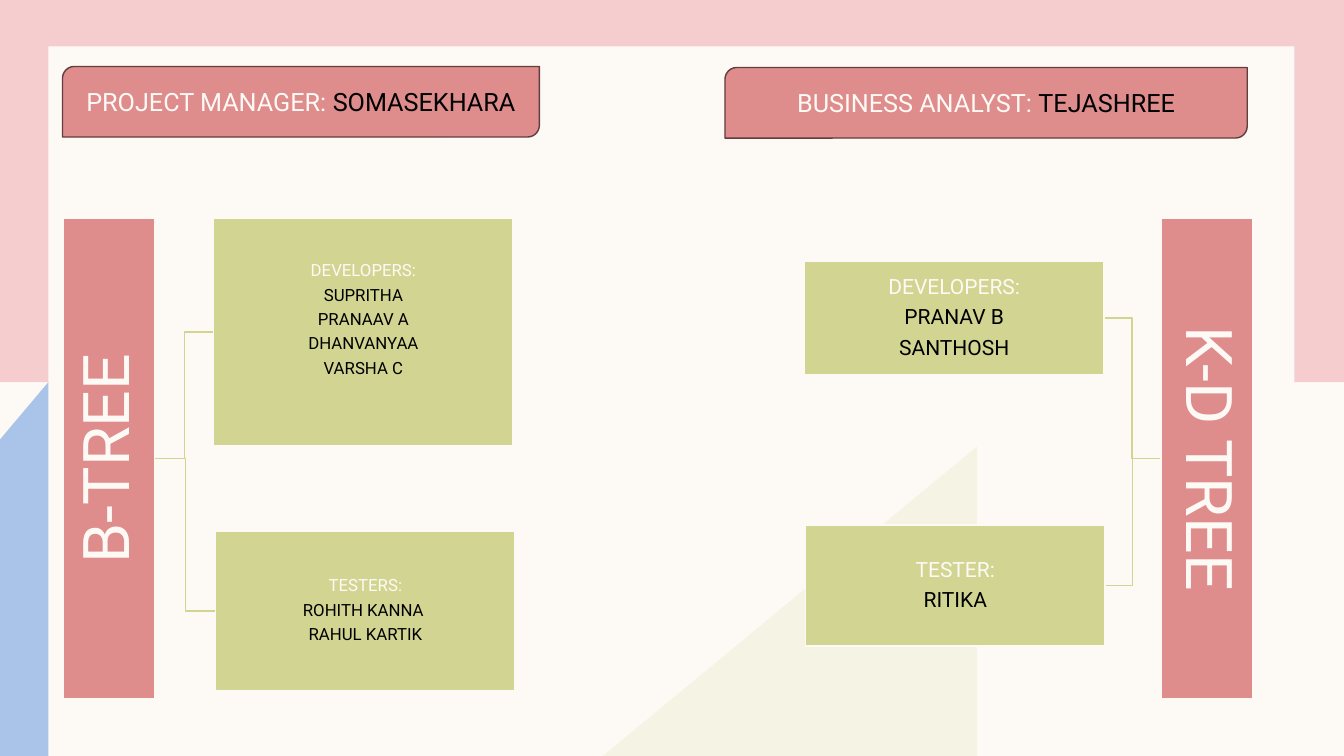
from dataclasses import dataclass

from lxml import etree
from pptx import Presentation
from pptx.dml.color import RGBColor
from pptx.enum.shapes import MSO_CONNECTOR, MSO_SHAPE
from pptx.enum.text import MSO_ANCHOR, PP_ALIGN
from pptx.oxml.ns import qn
from pptx.shapes.autoshape import Shape
from pptx.slide import Slide
from pptx.util import Inches, Pt

RECT = MSO_SHAPE.RECTANGLE
TITLE_SHAPE = MSO_SHAPE.ROUND_2_DIAG_RECTANGLE
ELBOW = MSO_CONNECTOR.ELBOW
CENTER, MIDDLE = PP_ALIGN.CENTER, MSO_ANCHOR.MIDDLE

FONT = "Roboto"
CREAM, BLACK = "FDFAF6", "000000"
PINK, ROSE, MAROON = "F5CDCE", "DE8C8C", "613D3D"
OLIVE, PALE_OLIVE, BLUE = "D2D592", "EDEED3", "AAC3E8"

BAR_LENGTH, BAR_THICKNESS, BAR_MIDDLE = 4.77, 0.91, 4.55
CARD_WIDTH = 2.97


@dataclass
class Lead:
    role: str
    person: str
    left: float
    top: float
    width: float


@dataclass
class Card:
    role: str
    people: list[str]
    left: float
    top: float
    height: float
    bottom_inset: float = 0.01


@dataclass
class Team:
    tree: str
    center_x: float
    rotation: int
    branch_x: float
    facing_right: bool
    text_size: int
    cards: list[Card]


LEADS = [
    Lead("PROJECT MANAGER: ", "SOMASEKHARA", 0.62, 0.66, 4.73),
    Lead("BUSINESS ANALYST: ", "TEJASHREE", 7.19, 0.67, 5.18),
]
TEAMS = [
    Team("B-TREE", 1.08, 270, 1.54, True, 12, [
        Card("DEVELOPERS:", ["SUPRITHA", "PRANAAV A", "DHANVANYAA", "VARSHA C"],
             2.12, 2.17, 2.25, 0.25),
        Card("TESTERS:", ["ROHITH KANNA ", "RAHUL KARTIK"], 2.14, 5.27, 1.58),
    ]),
    Team("K-D TREE", 11.97, 90, 11.51, False, 15, [
        Card("DEVELOPERS:", ["PRANAV B", "SANTHOSH"], 7.98, 2.59, 1.13),
        Card("TESTER:", ["RITIKA"], 7.99, 5.21, 1.2),
    ]),
]


def rgb(color: str) -> RGBColor:
    return RGBColor.from_string(color)


def paint(shape: Shape, fill: str, line: str | None = None) -> None:
    shape.shadow.inherit = False
    shape.fill.solid()
    shape.fill.fore_color.rgb = rgb(fill)
    if line:
        shape.line.color.rgb = rgb(line)
        shape.line.width = Pt(1)
    else:
        shape.line.fill.background()


def add_box(slide: Slide, kind: MSO_SHAPE, left: float, top: float, width: float,
            height: float, fill: str, line: str | None = None) -> Shape:
    box = slide.shapes.add_shape(kind, Inches(left), Inches(top), Inches(width), Inches(height))
    paint(box, fill, line)
    return box


def add_polygon(slide: Slide, points: list[tuple[float, float]], fill: str) -> Shape:
    corners = [(Inches(x), Inches(y)) for x, y in points]
    builder = slide.shapes.build_freeform(*corners[0])
    builder.add_line_segments(corners[1:], close=True)
    polygon = builder.convert_to_shape()
    paint(polygon, fill)
    return polygon


def set_alpha(shape: Shape, percent: int) -> None:
    color = shape.fill._xPr.find(qn("a:solidFill"))[0]
    etree.SubElement(color, qn("a:alpha")).set("val", str(percent * 1000))


def format_run(run, size: int, color: str) -> None:
    run.font.name = FONT
    run.font.size = Pt(size)
    run.font.color.rgb = rgb(color)


def write_lines(shape: Shape, lines: list[str], size: int, inset: float) -> None:
    """Write centred lines: the first in cream, the rest in black."""
    frame = shape.text_frame
    frame.text = "\n".join(lines)
    frame.word_wrap = True
    frame.vertical_anchor = MIDDLE
    frame.margin_left = frame.margin_right = Inches(inset)
    frame.margin_top = frame.margin_bottom = Inches(inset)
    for index, paragraph in enumerate(frame.paragraphs):
        paragraph.alignment = CENTER
        paragraph.line_spacing = 0.9
        paragraph.space_after = Pt(round(size * 0.375, 1))
        format_run(paragraph.runs[0], size, BLACK if index else CREAM)


def draw_backdrop(slide: Slide) -> None:
    slide.background.fill.solid()
    slide.background.fill.fore_color.rgb = rgb(CREAM)
    add_box(slide, RECT, 0, 0, 13.33, 3.79, PINK)
    add_box(slide, RECT, 0.48, 0.46, 12.36, 6.59, CREAM)
    olive_triangle = add_polygon(slide, [(5.98, 7.5), (9.69, 4.43), (9.69, 7.5)], PALE_OLIVE)
    set_alpha(olive_triangle, 50)
    add_polygon(slide, [(0.48, 3.79), (0.48, 7.5), (0, 7.5), (0, 4.36)], BLUE)


def draw_lead(slide: Slide, lead: Lead) -> None:
    banner = add_box(slide, TITLE_SHAPE, lead.left, lead.top, lead.width, 0.7, ROSE, MAROON)
    banner.text_frame.vertical_anchor = MIDDLE
    paragraph = banner.text_frame.paragraphs[0]
    paragraph.alignment = CENTER
    for words, color in ((lead.role, CREAM), (lead.person, BLACK)):
        run = paragraph.add_run()
        run.text = words
        format_run(run, 18, color)


def draw_branch(slide: Slide, team: Team, card: Card) -> None:
    card_x = card.left if team.facing_right else card.left + CARD_WIDTH
    branch = slide.shapes.add_connector(
        ELBOW, Inches(team.branch_x), Inches(BAR_MIDDLE),
        Inches(card_x), Inches(card.top + card.height / 2))
    branch.line.color.rgb = rgb(OLIVE)
    branch.line.width = Pt(1)
    etree.SubElement(branch._element.spPr, qn("a:effectLst"))


def draw_team(slide: Slide, team: Team) -> None:
    for card in team.cards:
        draw_branch(slide, team, card)
    bar = add_box(slide, RECT, team.center_x - BAR_LENGTH / 2, BAR_MIDDLE - BAR_THICKNESS / 2,
                  BAR_LENGTH, BAR_THICKNESS, ROSE, CREAM)
    bar.rotation = team.rotation
    write_lines(bar, [team.tree], 46, 0.03)
    for card in team.cards:
        box = add_box(slide, RECT, card.left, card.top, CARD_WIDTH, card.height, OLIVE, CREAM)
        write_lines(box, [card.role, *card.people], team.text_size, 0.01)
        box.text_frame.margin_bottom = Inches(card.bottom_inset)


def main() -> None:
    deck = Presentation()
    deck.slide_width, deck.slide_height = Inches(13.33), Inches(7.5)
    slide = deck.slides.add_slide(deck.slide_layouts[6])
    draw_backdrop(slide)
    for lead in LEADS:
        draw_lead(slide, lead)
    for team in TEAMS:
        draw_team(slide, team)
    deck.save("out.pptx")


if __name__ == "__main__":
    main()
